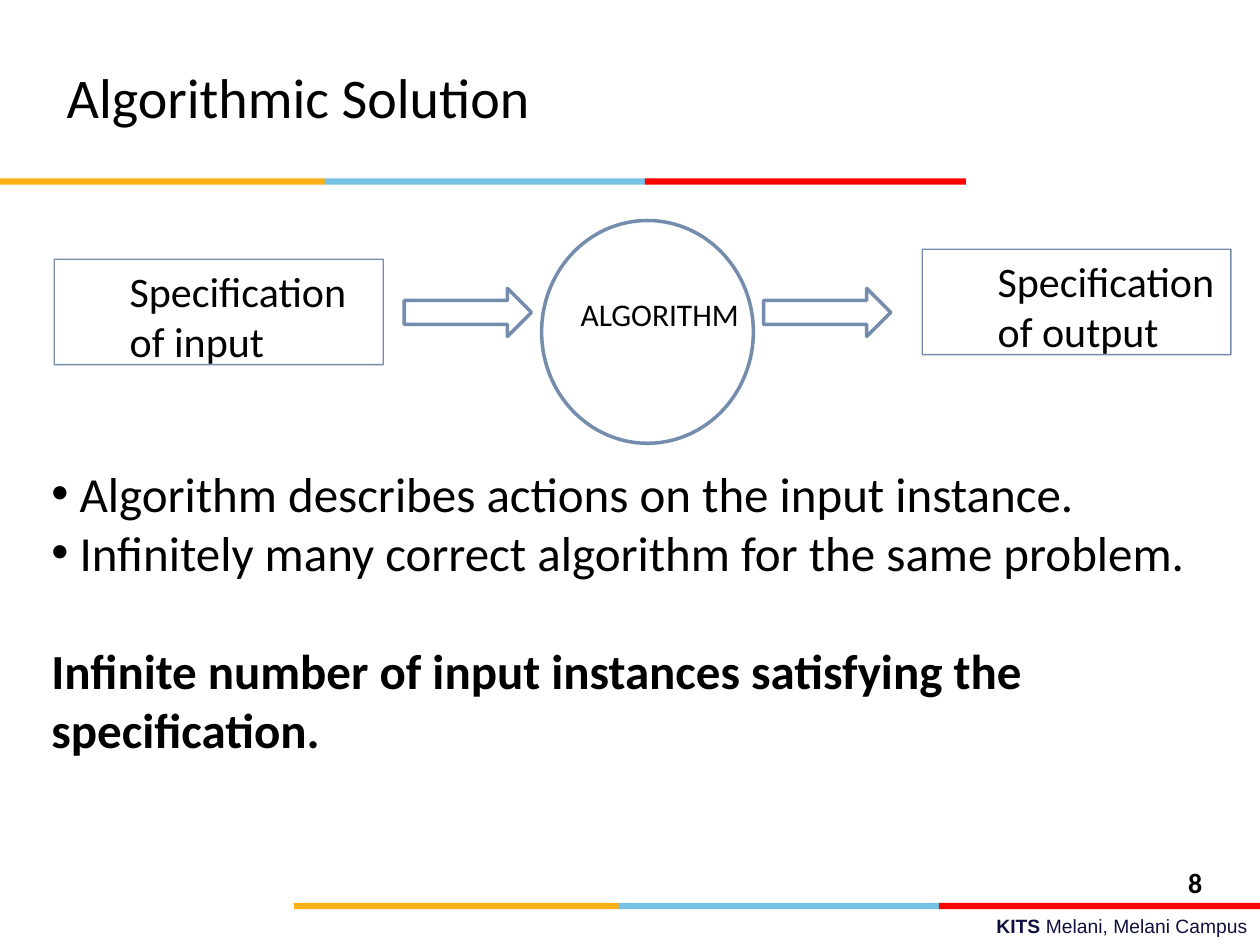
from lxml.etree import SubElement
from pptx import Presentation
from pptx.dml.color import RGBColor
from pptx.enum.shapes import MSO_SHAPE as Shape
from pptx.enum.text import MSO_ANCHOR as Anchor, PP_ALIGN as Align
from pptx.oxml.ns import qn
from pptx.util import Pt

BLACK, NAVY, OUTLINE = "000000", "101141", "395E89"
STRIPES = [(0, 186, "FCB017"), (185.5, 183.5, "76C2E5"), (368.5, 183.5, "FF0000")]


def color(hex_string):
    """Turn a hex string into a colour."""
    return RGBColor.from_string(hex_string)


def add_span(para, text, size, bold=False, name="Calibri", tint=BLACK):
    """Append one formatted run to a paragraph."""
    span = para.add_run()
    span.text = text
    font_format = {"size": Pt(size), "bold": bold, "name": name}
    for attribute, value in font_format.items():
        setattr(span.font, attribute, value)
    span.font.color.rgb = color(tint)


def add_text_box(page, *place, anchor=Anchor.TOP):
    """Add a wrapping text box and return its text frame."""
    frame = page.shapes.add_textbox(*map(Pt, place)).text_frame
    frame.word_wrap = True
    frame.vertical_anchor = anchor
    return frame


def set_indent(para, points):
    """Set the left margin of a paragraph."""
    properties = para._p.get_or_add_pPr()
    properties.set("marL", str(Pt(points)))
    properties.set("indent", "0")


def set_bullet(para):
    """Give a paragraph a round black bullet."""
    set_indent(para, 0)
    properties = para._p.get_or_add_pPr()
    tint = SubElement(properties, qn("a:buClr"))
    SubElement(tint, qn("a:srgbClr"), val=BLACK)
    SubElement(properties, qn("a:buFont"), typeface="Arial")
    SubElement(properties, qn("a:buChar"), char="•")


def add_stripes(page, left, top):
    """Draw the three-colour rule."""
    for offset, width, fill in STRIPES:
        place = map(Pt, (left + offset, top, width, 3.6))
        stripe = page.shapes.add_shape(Shape.RECTANGLE, *place)
        stripe.shadow.inherit = False
        stripe.fill.solid()
        stripe.fill.fore_color.rgb = color(fill)
        stripe.line.fill.background()


def add_outline(page, kind, width, *place):
    """Add an unfilled shape with a translucent outline."""
    shape = page.shapes.add_shape(kind, *map(Pt, place))
    shape.shadow.inherit = False
    shape.fill.background()
    shape.line.width = Pt(width)
    shape.line.color.rgb = color(OUTLINE)
    tint = shape.line._ln.find(".//" + qn("a:srgbClr"))
    SubElement(tint, qn("a:alpha"), val="69000")
    return shape


def add_label(frame, text, size):
    """Write an indented left-aligned label."""
    para = frame.paragraphs[0]
    para.alignment = Align.LEFT
    set_indent(para, 36)
    add_span(para, text, size)


def add_specification(page, text, *place):
    """Add an outlined box holding a specification label."""
    frame = add_outline(page, Shape.RECTANGLE, 0.75, *place).text_frame
    frame.word_wrap = True
    frame.vertical_anchor = Anchor.TOP
    add_label(frame, text, 24)


def add_diagram(page):
    """Draw the flow from input through algorithm to output."""
    add_specification(page, "Specification of input", 31, 148.2, 188, 60.2)
    add_specification(page, "Specification of output", 527, 142.5, 176.4, 60.2)
    for left in (231, 436.3):
        add_outline(page, Shape.RIGHT_ARROW, 2, left, 164.8, 72.7, 27.5)
    add_outline(page, Shape.OVAL, 2, 309.5, 126, 121, 127.3)
    add_label(add_text_box(page, 288.7, 164.9, 147.6, 26.6), "ALGORITHM", 18)


def add_body(page):
    """Write the bullets and the closing statement."""
    frame = add_text_box(page, 22.3, 261.4, 680.4, 278.6)
    first, second, closing = frame.paragraphs[0], frame.add_paragraph(), frame.add_paragraph()
    set_bullet(first)
    add_span(first, " Algorithm describes actions on the input instance.", 28)
    set_bullet(second)
    add_span(second, " Infinitely many correct algorithm for the same problem.", 28)
    closing.space_before = Pt(34)
    add_span(closing, "Infinite number of input instances satisfying the specification.", 28, True)


def add_footer(page):
    """Write the campus name and the page number."""
    campus = add_text_box(page, 257.8, 519.1, 462.2, 20.9).paragraphs[0]
    campus.alignment = Align.RIGHT
    add_span(campus, "KITS ", 11, True, "Arial", NAVY)
    add_span(campus, "Melani, Melani Campus", 11, False, "Arial", NAVY)
    number = add_text_box(page, 671.8, 491, 48.2, 23).paragraphs[0]
    add_span(number, "8", 16, True)


def main():
    """Build and save the slide."""
    deck = Presentation()
    deck.slide_width, deck.slide_height = Pt(720), Pt(540)
    page = deck.slides.add_slide(deck.slide_layouts[6])
    add_stripes(page, 168, 516)
    add_stripes(page, 0, 102)
    title = add_text_box(page, 31, 21.6, 481.7, 67, anchor=Anchor.MIDDLE)
    add_span(title.paragraphs[0], "Algorithmic Solution", 32)
    add_footer(page)
    add_diagram(page)
    add_body(page)
    deck.save("out.pptx")


if __name__ == "__main__":
    main()
